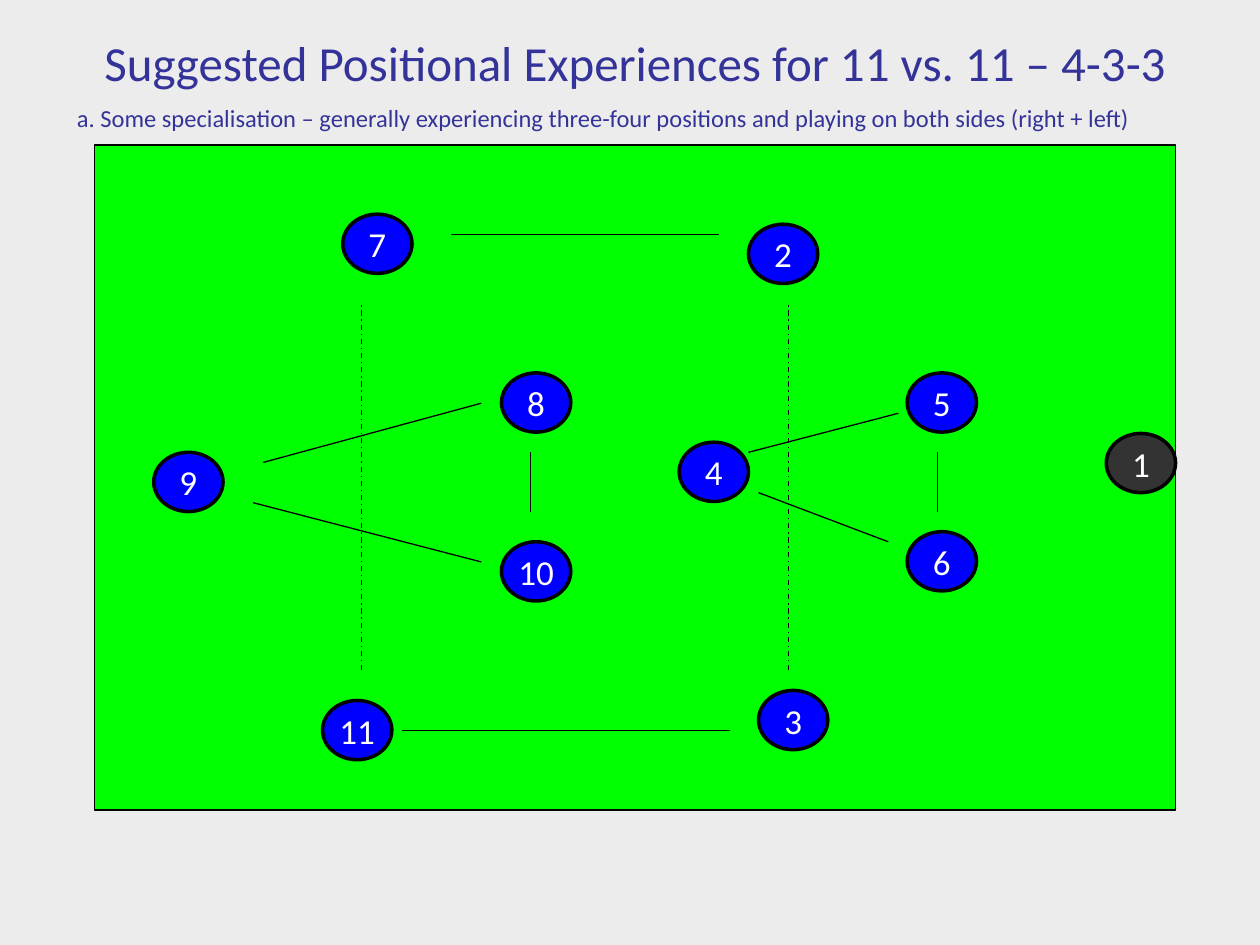
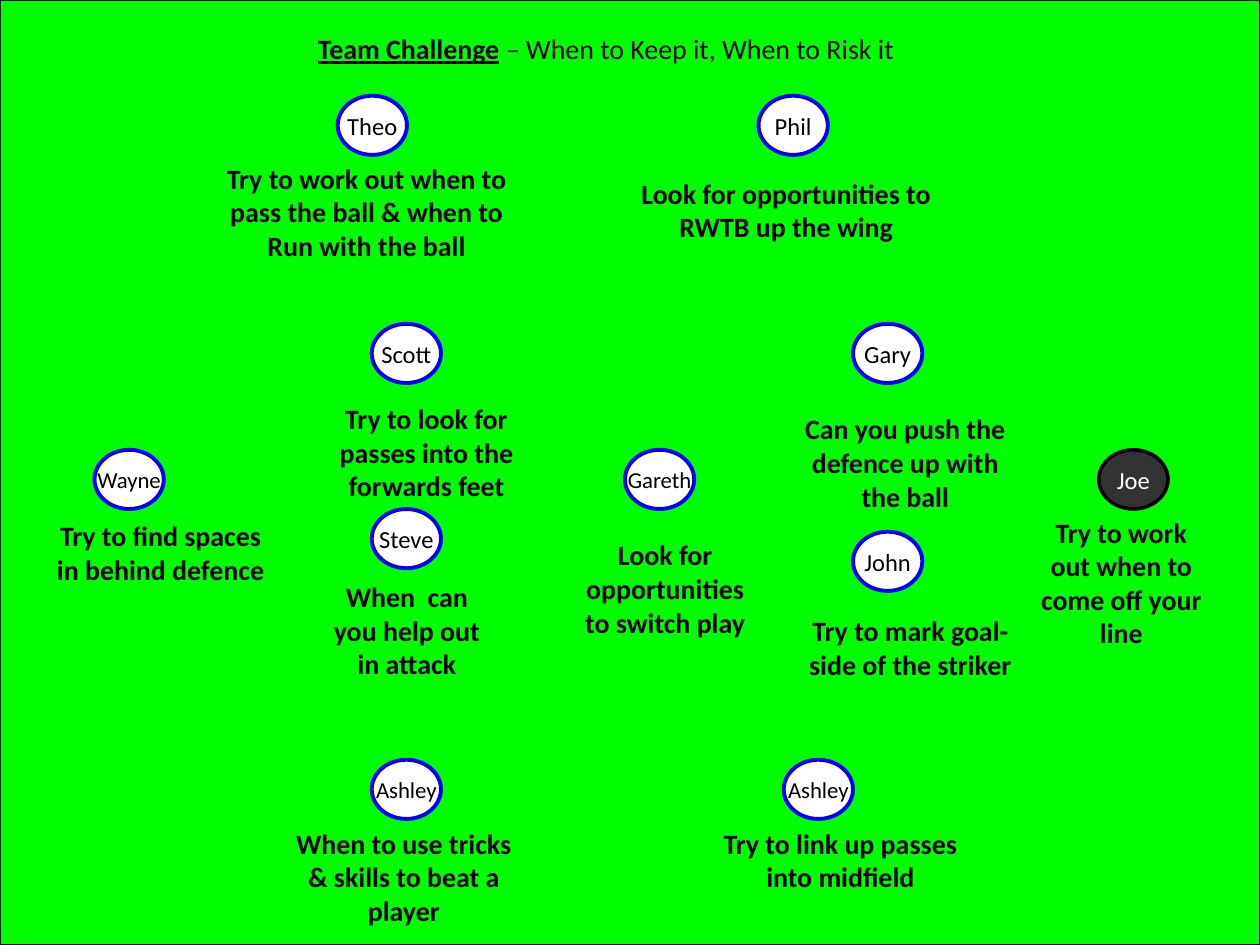
from lxml.etree import SubElement
from pptx import Presentation
from pptx.dml.color import RGBColor as Rgb
from pptx.enum.dml import MSO_LINE as Dash
from pptx.enum.shapes import MSO_CONNECTOR as Link, MSO_SHAPE as Kind
from pptx.enum.text import MSO_ANCHOR as Anchor, MSO_AUTO_SIZE as Fit, PP_ALIGN as Align
from pptx.oxml.ns import qn
from pptx.util import Inches, Pt

INK = {"back": "ECECEC", "pitch": "00FF00", "blue": "0000FF", "dark": "333333",
       "title": "333399", "white": "FFFFFF", "black": "000000"}


def write(shape, text, size, ink, bold=False, align=Align.CENTER, anchor=Anchor.TOP, wrap=True):
    frame = shape.text_frame
    frame.text = text
    frame.auto_size = Fit.NONE
    frame.word_wrap = wrap
    frame.vertical_anchor = anchor
    para = frame.paragraphs[0]
    para.alignment = align
    para.space_before = Pt(0)
    for run in para.runs:
        run.font.name = "Calibri"
        run.font.size = Pt(size)
        run.font.bold = bold
        run.font.color.rgb = Rgb.from_string(INK[ink])
    return para


def draw(slide, kind, spot, fill, edge, width):
    shape = slide.shapes.add_shape(kind, *map(Inches, spot))
    shape.shadow.inherit = False
    shape.fill.solid()
    shape.fill.fore_color.rgb = Rgb.from_string(INK[fill])
    shape.line.color.rgb = Rgb.from_string(INK[edge])
    shape.line.width = Pt(width)
    return shape


deck = Presentation()
deck.slide_width, deck.slide_height = Inches(10), Inches(7.5)
disc = (0.55, 0.47)

slides = []
for layout, field, head, text, size, ink in [
    (1, (0.75, 1.15, 8.58, 5.28), (0.51, 0.21, 9.06, 0.57),
     "Suggested Positional Experiences for 11 vs. 11 – 4-3-3", 28, "title"),
    (5, (0, 0, 10, 7.5), (0.35, 0.2, 8.92, 0.37),
     "Team Challenge", 16, "black"),
]:
    slide = deck.slides.add_slide(deck.slide_layouts[layout])
    slide.background.fill.solid()
    slide.background.fill.fore_color.rgb = Rgb.from_string(INK["back"])
    pitch = draw(slide, Kind.RECTANGLE, field, "pitch", "black", 0.75)
    pitch.element.getparent().insert(2, pitch.element)
    title = slide.shapes.title
    title.left, title.top, title.width, title.height = map(Inches, head)
    write(title, text, size, ink)
    slides.append(slide)
shape, team = slides

body = shape.placeholders[1]
body.left, body.top, body.width, body.height = map(Inches, (0.51, 0.77, 9.06, 0.36))
para = write(body, "a. Some specialisation – generally experiencing three-four positions "
             "and playing on both sides (right + left)", 14, "title", align=Align.LEFT)
props = para._p.get_or_add_pPr()
props.set("marL", "0")
props.set("indent", "0")
SubElement(props, qn("a:buNone"))

for num, left, top in [
    (1, 8.78, 3.44), (2, 5.94, 1.78), (3, 6.02, 5.48), (4, 5.39, 3.51),
    (5, 7.2, 2.96), (6, 7.2, 4.22), (7, 2.72, 1.7), (8, 3.98, 2.96),
    (9, 1.22, 3.59), (10, 3.98, 4.3), (11, 2.56, 5.56),
]:
    fill = "dark" if num == 1 else "blue"
    spot = draw(shape, Kind.OVAL, (left, top, *disc), fill, "black", 2)
    write(spot, str(num), 20, "white", anchor=Anchor.MIDDLE, wrap=False)

for ends, dashed in [
    ((3.82, 4.46, 2.01, 3.99), False),
    ((2.09, 3.67, 3.82, 3.2), False),
    ((4.21, 3.59, 4.21, 4.06), False),
    ((3.19, 5.8, 5.79, 5.8), False),
    ((3.58, 1.86, 5.71, 1.86), False),
    ((5.94, 3.59, 7.13, 3.28), False),
    ((6.02, 3.91, 7.05, 4.3), False),
    ((7.44, 4.06, 7.44, 3.59), False),
    ((2.87, 5.32, 2.87, 2.41), True),
    ((6.26, 5.32, 6.26, 2.41), True),
]:
    link = shape.shapes.add_connector(Link.STRAIGHT, *map(Inches, ends))
    link.line.color.rgb = Rgb.from_string(INK["black"])
    link.line.width = Pt(0.75)
    if dashed:
        link.line.dash_style = Dash.DASH_DOT
    SubElement(link.element.spPr, qn("a:effectLst"))

para = team.shapes.title.text_frame.paragraphs[0]
lead = para.runs[0]
lead.font.bold = lead.font.underline = True
rest = para.add_run()
rest.text = " – When to Keep it, When to Risk it"
rest.font.name = "Calibri"
rest.font.size = Pt(16)
rest.font.bold = False
rest.font.color.rgb = Rgb.from_string(INK["black"])

for name, size, left, top, task, box in [
    ("Phil", 14, 6.02, 0.76, "Look for opportunities to RWTB up the wing", (4.96, 1.35, 2.56, 0.64)),
    ("Joe", 14, 8.72, 3.57, "Try to work out when to come off your line", (8.15, 4.04, 1.5, 1.17)),
    ("Gary", 14, 6.77, 2.57, "Can you push the defence up with the ball", (6.22, 3.22, 1.93, 0.9)),
    ("John", 14, 6.77, 4.22, "Try to mark goal-side of the striker", (6.3, 4.82, 1.85, 0.64)),
    ("Ashley", 13, 6.22, 6.03, "Try to link up passes into midfield", (5.51, 6.51, 2.32, 0.64)),
    ("Scott", 14, 2.95, 2.57, "Try to look for passes into the forwards feet", (2.48, 3.14, 1.81, 0.9)),
    ("Gareth", 13, 4.96, 3.57, "Look for opportunities to switch play", (4.53, 4.22, 1.5, 0.9)),
    ("Theo", 14, 2.68, 0.76, "Try to work out when to pass the ball & when to Run with the ball",
     (1.61, 1.23, 2.6, 0.9)),
    ("Steve", 14, 2.95, 4.04, "When  can you help out in attack", (2.48, 4.55, 1.5, 0.9)),
    ("Ashley", 13, 2.95, 6.03, "When to use tricks & skills to beat a player", (2.2, 6.51, 2.01, 0.9)),
    ("Wayne", 13, 0.75, 3.57, "Try to find spaces in behind defence", (0.35, 4.07, 1.85, 0.9)),
]:
    fill, edge, width, ink = ("dark", "black", 2, "white") if name == "Joe" else (
        "white", "blue", 2.25, "black")
    spot = draw(team, Kind.OVAL, (left, top, *disc), fill, edge, width)
    write(spot, name, size, ink, anchor=Anchor.MIDDLE, wrap=False)
    write(team.shapes.add_textbox(*map(Inches, box)), task, 16, "black", bold=True)

deck.save("out.pptx")
